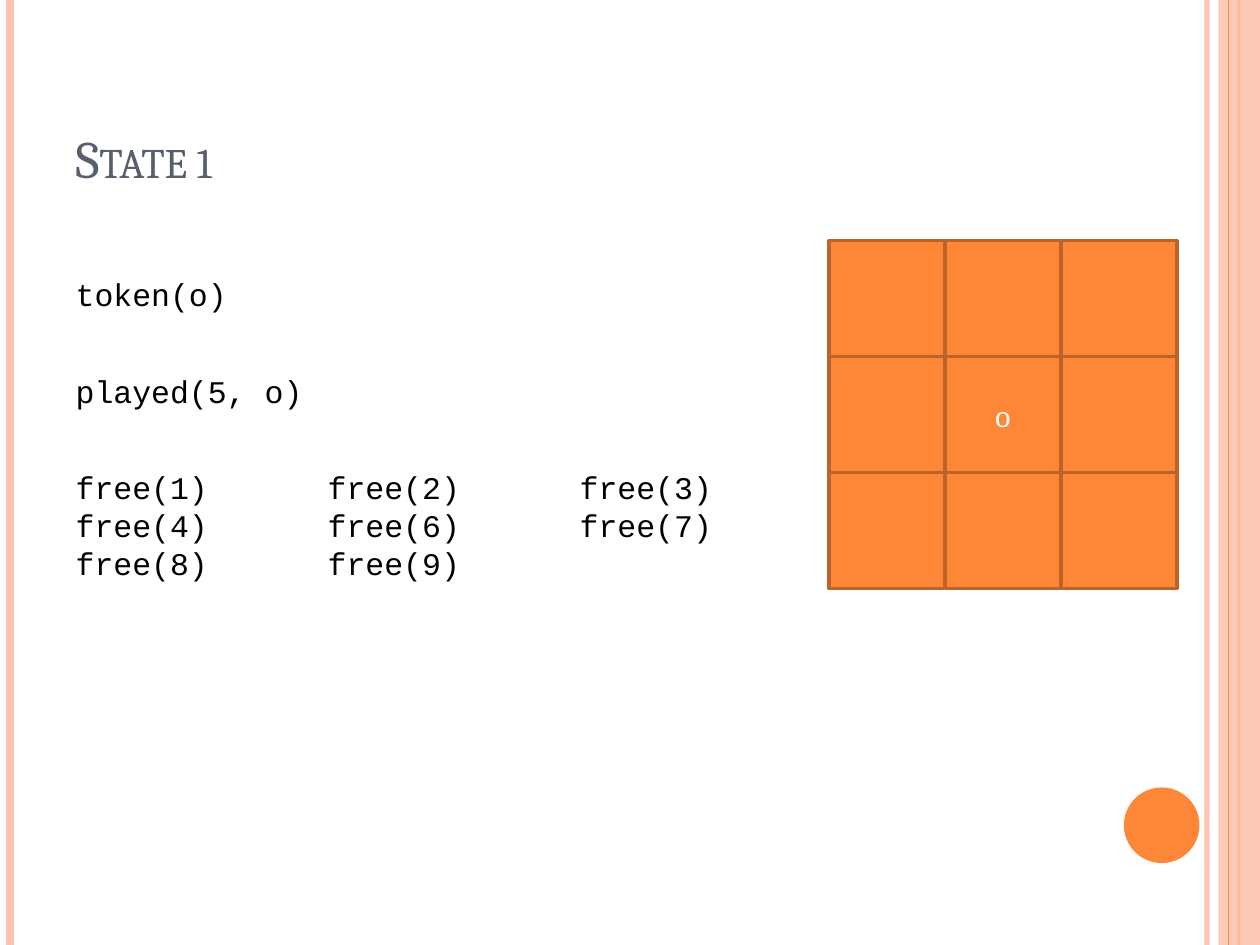
from lxml.etree import SubElement
from pptx import Presentation
from pptx.dml.color import RGBColor
from pptx.enum.shapes import MSO_CONNECTOR as Connector, MSO_SHAPE as Shape
from pptx.enum.text import MSO_ANCHOR as Anchor, MSO_AUTO_SIZE as AutoSize, PP_ALIGN as Align
from pptx.oxml.ns import qn
from pptx.util import Inches, Pt

WIDTH, HEIGHT = 10, 7.5
ORANGE = RGBColor(0xFE, 0x86, 0x37)
PEACH = RGBColor(0xFE, 0xC3, 0xAE)
BROWN = RGBColor(0xBC, 0x63, 0x29)
SLATE = RGBColor(0x57, 0x5F, 0x6D)
BLACK = RGBColor(0, 0, 0)
WHITE = RGBColor(0xFF, 0xFF, 0xFF)
SERIF, MONO = "Cambria", "Courier New"
BOARD_LEFT, BOARD_TOP, CELL = 6.58, 1.91, 0.92
TAB_STEP = 1
FACTS = ["token(o)", "played(5, o)",
         "free(1)\tfree(2)\tfree(3)\vfree(4)\tfree(6)\tfree(7)\vfree(8)\tfree(9)"]


def set_opacity(fill, percent):
    """Make a solid fill partly transparent."""
    color = fill._xPr.find(qn("a:solidFill"))[0]
    SubElement(color, qn("a:alpha"), val=str(percent * 1000))


def add_stripe(page, x, color, weight, opacity=100):
    """Draw a vertical line over the full height of the slide."""
    stripe = page.shapes.add_connector(
        Connector.STRAIGHT, Inches(x), 0, Inches(x), Inches(HEIGHT))
    stripe.line.color.rgb = color
    stripe.line.width = Pt(weight)
    if opacity < 100:
        set_opacity(stripe.line.fill, opacity)
    SubElement(stripe._element.spPr, qn("a:effectLst"))


def add_figure(page, kind, place, color, outline=None):
    """Add a filled preset shape, outlined if a colour is given."""
    figure = page.shapes.add_shape(kind, *map(Inches, place))
    figure.shadow.inherit = False
    figure.fill.solid()
    figure.fill.fore_color.rgb = color
    if outline is None:
        figure.line.fill.background()
    else:
        figure.line.color.rgb = outline
        figure.line.width = Pt(2)
    return figure


def write(para, text, *, font, size, color, align=Align.LEFT, small_caps=False):
    """Write text into a paragraph in the given format."""
    para.text = text
    para.alignment = align
    for span in para.runs:
        span.font.name = font
        span.font.size = Pt(size)
        span.font.color.rgb = color
        if small_caps:
            span.font._element.set("cap", "small")


def place_frame(box, place, anchor):
    """Move a placeholder and return its text frame."""
    box.left, box.top, box.width, box.height = map(Inches, place)
    frame = box.text_frame
    frame.auto_size = AutoSize.NONE
    frame.word_wrap = True
    frame.vertical_anchor = anchor
    return frame


def set_plain_list(para):
    """Remove the bullet and indent and set the tab distance."""
    properties = para._p.get_or_add_pPr()
    properties.set("marL", "0")
    properties.set("indent", "0")
    properties.set("defTabSz", str(Inches(TAB_STEP)))
    SubElement(properties, qn("a:buNone"))


def add_decor(page):
    """Draw the stripes, band and disc at the slide's edges."""
    add_stripe(page, 9.58, PEACH, 3, opacity=93)
    add_stripe(page, 0.08, PEACH, 4.5)
    add_stripe(page, 9.83, ORANGE, 1.5)
    band = add_figure(page, Shape.RECTANGLE, (9.67, 0, 0.33, HEIGHT), PEACH)
    set_opacity(band.fill, 87)
    add_stripe(page, 9.75, ORANGE, 0.75)
    add_figure(page, Shape.OVAL, (8.92, 6.25, 0.6, 0.6), ORANGE)


def fill_facts(box):
    """List the facts of the state in the body placeholder."""
    frame = place_frame(box, (0.5, 1.75, 5.92, 5.33), Anchor.TOP)
    frame.margin_top = Inches(0.43)
    for index, fact in enumerate(FACTS):
        para = frame.add_paragraph() if index else frame.paragraphs[0]
        set_plain_list(para)
        para.line_spacing = Pt(21.7)
        para.space_before = Pt(33.5 if index else 0)
        write(para, fact, font=MONO, size=18, color=BLACK)


def add_board(page, marks):
    """Draw the game board, one square for each mark."""
    for row, line in enumerate(marks):
        for column, mark in enumerate(line):
            place = (BOARD_LEFT + column * CELL, BOARD_TOP + row * CELL, CELL, CELL)
            square = add_figure(page, Shape.RECTANGLE, place, ORANGE, outline=BROWN)
            if mark.strip():
                frame = square.text_frame
                frame.vertical_anchor = Anchor.MIDDLE
                write(frame.paragraphs[0], mark, font=SERIF, size=18,
                      color=WHITE, align=Align.CENTER)


def main():
    """Build the slide and save it."""
    deck = Presentation()
    deck.slide_width, deck.slide_height = Inches(WIDTH), Inches(HEIGHT)
    page = deck.slides.add_slide(deck.slide_layouts[1])
    add_decor(page)
    title = place_frame(page.shapes.title, (0.5, 0.3, 8.17, 1.25), Anchor.BOTTOM)
    write(title.paragraphs[0], "State 1", font=SERIF, size=30, color=SLATE, small_caps=True)
    fill_facts(page.placeholders[1])
    add_board(page, ["   ", " o ", "   "])
    deck.save("out.pptx")


if __name__ == "__main__":
    main()
